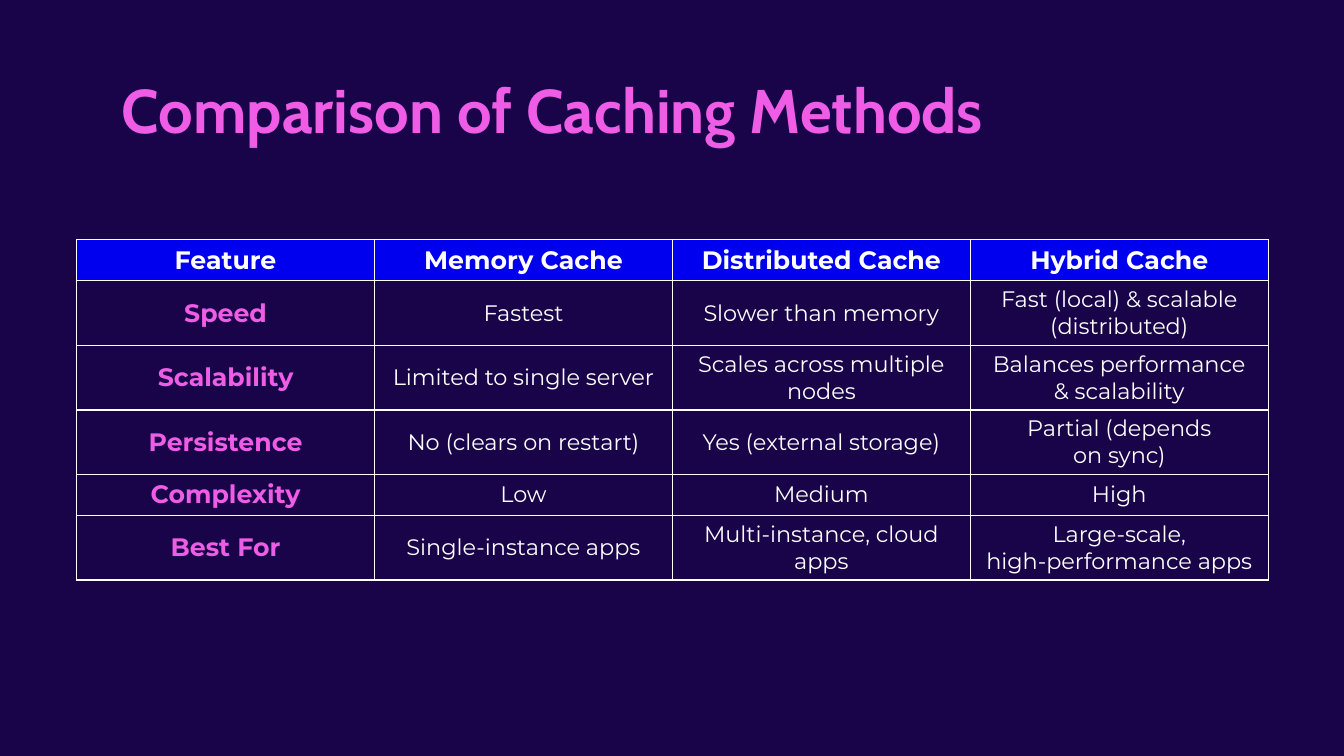
"""Build a slide with a table that compares caching methods."""
from lxml.etree import SubElement
from pptx import Presentation
from pptx.dml.color import RGBColor
from pptx.enum.text import MSO_ANCHOR, MSO_AUTO_SIZE, PP_ALIGN
from pptx.oxml.ns import qn
from pptx.util import Inches, Pt

TITLE = "Comparison of Caching Methods"
ROWS = [
    ("Feature", "Memory Cache", "Distributed Cache", "Hybrid Cache"),
    ("Speed", "Fastest", "Slower than memory", "Fast (local) & scalable (distributed)"),
    ("Scalability", "Limited to single server", "Scales across multiple nodes",
     "Balances performance\n& scalability"),
    ("Persistence", "No (clears on restart)", "Yes (external storage)",
     "Partial (depends\non sync)"),
    ("Complexity", "Low", "Medium", "High"),
    ("Best For", "Single-instance apps", "Multi-instance, cloud apps",
     "Large-scale,\nhigh-performance apps"),
]
COLORS = {"background": "190449", "accent": "EF5CE5", "header": "0000EE", "white": "FFFFFF"}
ROW_HEIGHTS = [0.4, 0.63, 0.63, 0.63, 0.4, 0.63]
TABLE_LEFT, TABLE_TOP, TABLE_WIDTH = 0.76, 2.38, 11.82


def color(name):
    """Return the named colour."""
    return RGBColor.from_string(COLORS[name])


def style_paragraph(paragraph, font_name, size, color_name, bold, alignment):
    """Set the font and alignment of a paragraph."""
    paragraph.alignment = alignment
    font = paragraph.font
    font.name, font.size, font.bold = font_name, Pt(size), bold
    font.color.rgb = color(color_name)


def add_borders(cell):
    """Draw a thin white line on each side of a cell."""
    properties = cell._tc.get_or_add_tcPr()
    for side in ("lnL", "lnR", "lnT", "lnB"):
        line = SubElement(properties, qn(f"a:{side}"), w=str(Pt(1)))
        fill = SubElement(line, qn("a:solidFill"))
        SubElement(fill, qn("a:srgbClr"), val=COLORS["white"])


def add_title(slide):
    """Place the slide title."""
    title = slide.shapes.title
    title.left, title.top = Inches(1.11), Inches(0.66)
    title.width, title.height = Inches(9.9), Inches(0.84)
    frame = title.text_frame
    frame.text = TITLE
    frame.word_wrap = True
    frame.auto_size = MSO_AUTO_SIZE.NONE
    frame.vertical_anchor = MSO_ANCHOR.MIDDLE
    style_paragraph(frame.paragraphs[0], "Cabin", 44, "accent", True, PP_ALIGN.LEFT)


def add_comparison(slide):
    """Add the comparison table."""
    table = slide.shapes.add_table(
        len(ROWS), len(ROWS[0]), Inches(TABLE_LEFT), Inches(TABLE_TOP),
        Inches(TABLE_WIDTH), Inches(sum(ROW_HEIGHTS))).table
    table.horz_banding = False
    for row, height in zip(table.rows, ROW_HEIGHTS):
        row.height = Inches(height)
    for row_index, texts in enumerate(ROWS):
        for column_index, text in enumerate(texts):
            is_header, is_feature = row_index == 0, column_index == 0
            is_label = is_header or is_feature
            cell = table.cell(row_index, column_index)
            cell.text = text
            cell.vertical_anchor = MSO_ANCHOR.MIDDLE
            add_borders(cell)
            if is_header:
                cell.fill.solid()
                cell.fill.fore_color.rgb = color("header")
            else:
                cell.fill.background()
            color_name = "accent" if is_feature and not is_header else "white"
            for paragraph in cell.text_frame.paragraphs:
                style_paragraph(paragraph, "Montserrat", 18 if is_label else 16,
                                color_name, is_label, PP_ALIGN.CENTER)


def main():
    """Build and save the presentation."""
    presentation = Presentation()
    presentation.slide_width, presentation.slide_height = Inches(13.33), Inches(7.5)
    slide = presentation.slides.add_slide(presentation.slide_layouts.get_by_name("Title Only"))
    background = slide.background.fill
    background.solid()
    background.fore_color.rgb = color("background")
    add_title(slide)
    add_comparison(slide)
    presentation.save("out.pptx")


if __name__ == "__main__":
    main()
